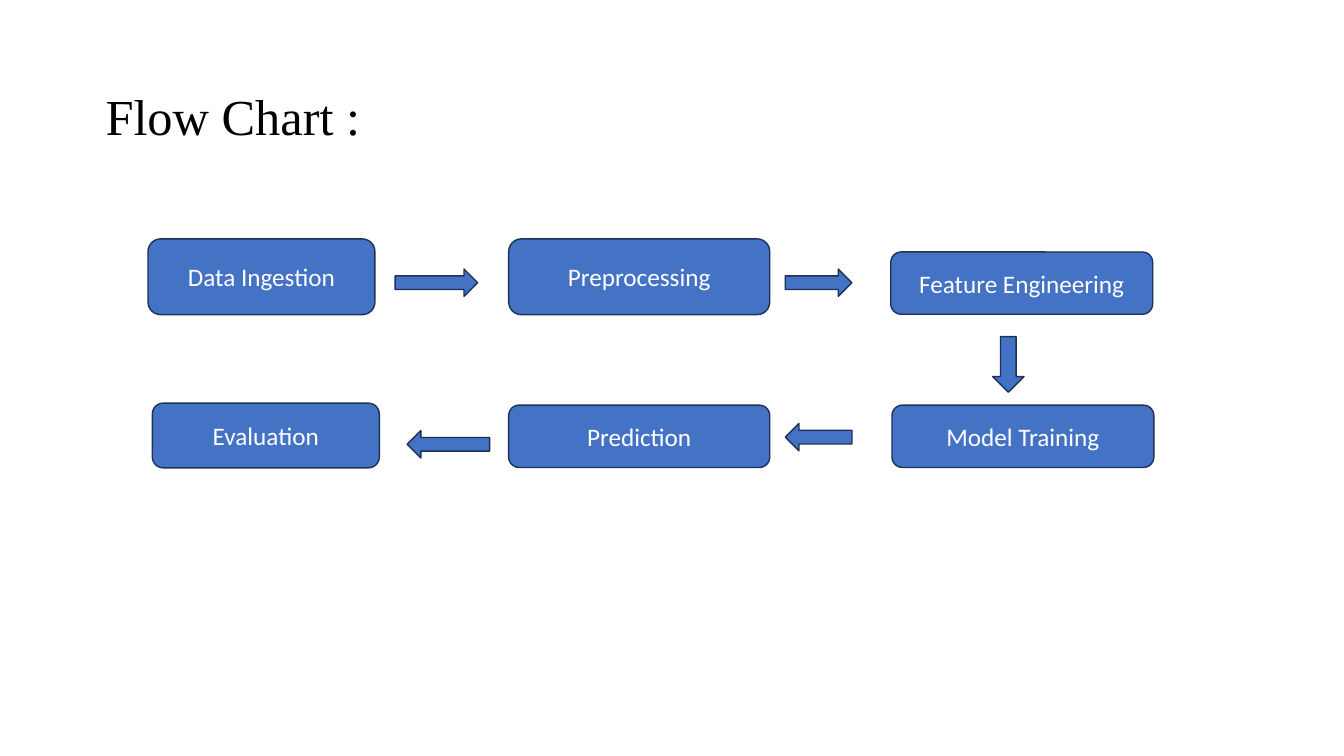
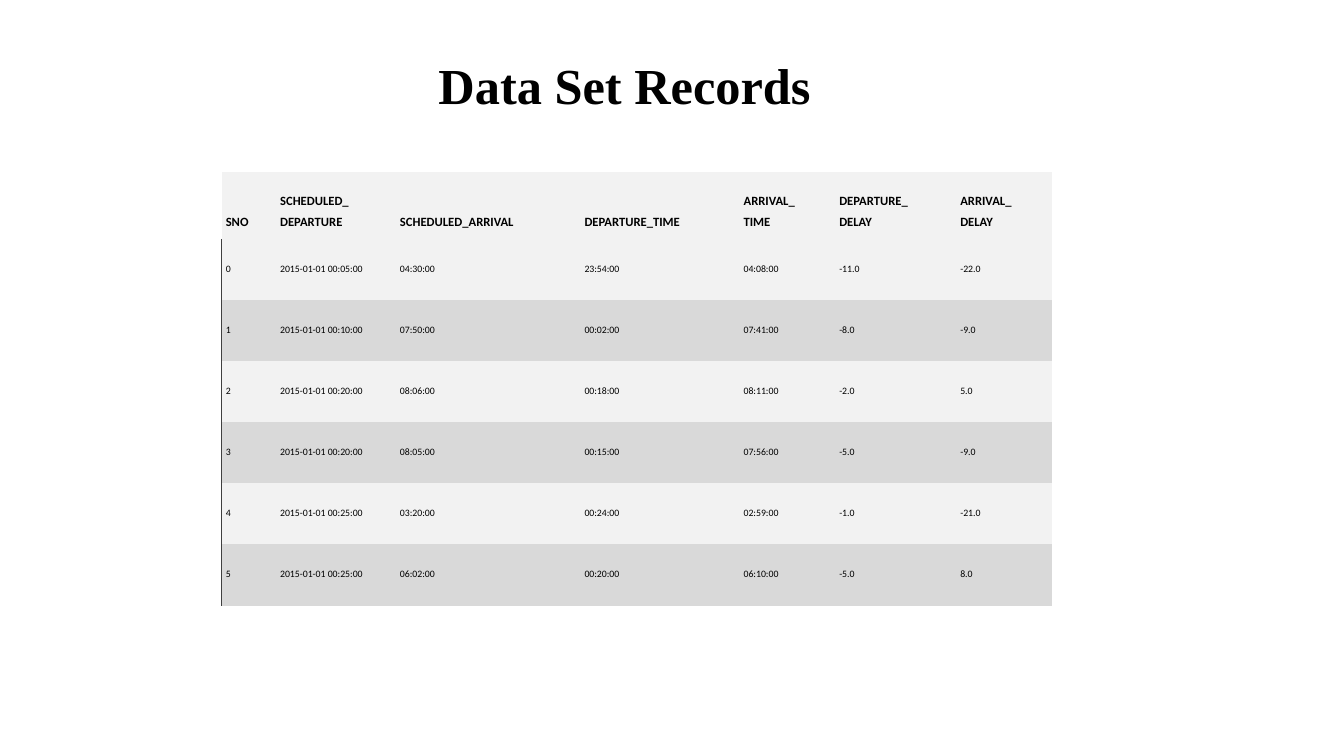
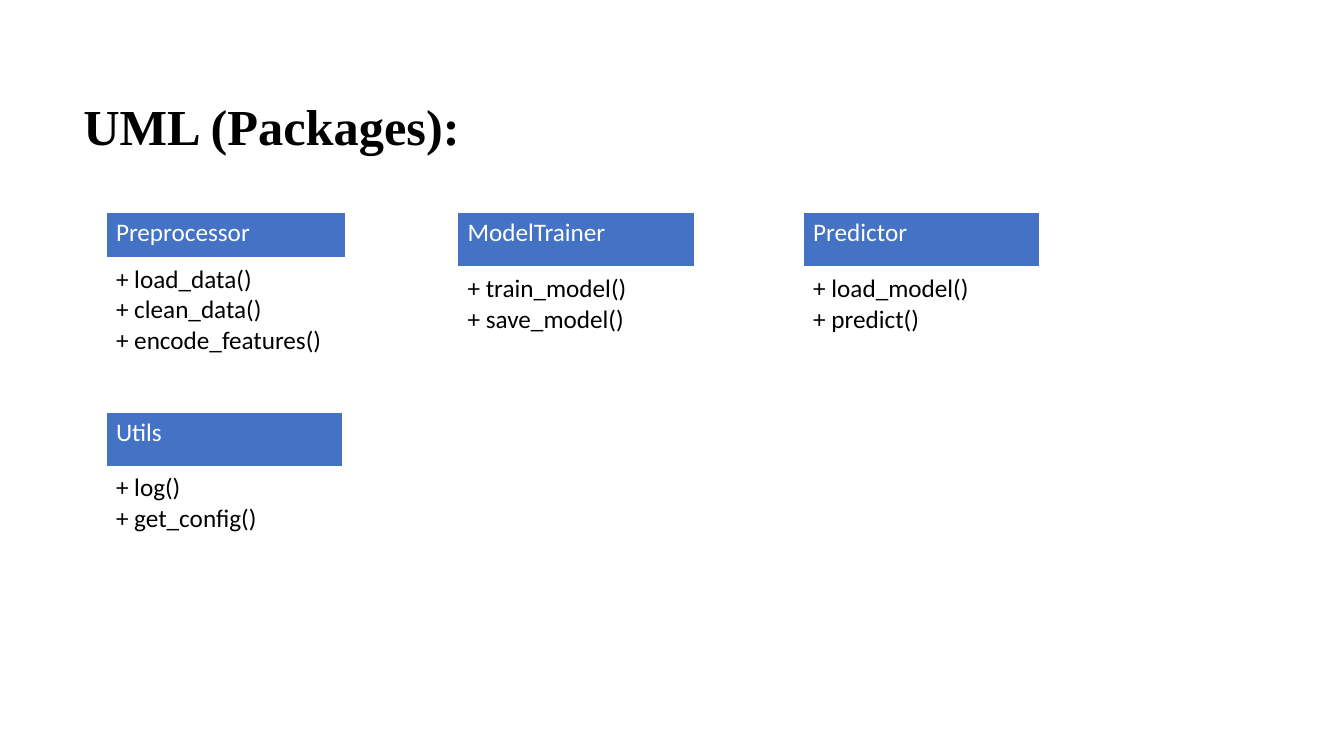
from lxml.etree import SubElement
from pptx import Presentation
from pptx.dml.color import RGBColor
from pptx.enum.shapes import MSO_SHAPE
from pptx.enum.text import MSO_ANCHOR, PP_ALIGN
from pptx.oxml.ns import qn
from pptx.util import Cm, Pt

BLUE, NAVY, BLACK, WHITE = "4472C4", "1E3256", "000000", "FFFFFF"
PALE, GREY, RULE = "F2F2F2", "D9D9D9", "404040"
NO_GRID = "{2D5ABB26-0587-4C30-8999-92F81FD0307C}"
TITLE = {"name": "Times New Roman", "size": Pt(36)}
BODY = {"name": "Calibri", "size": Pt(18)}
HEAD_CELL = {"size": Pt(9), "bold": True}
DATA_CELL = {"size": Pt(7)}


def rgb(value):
    return RGBColor.from_string(value)


def assign(target, values):
    for name, value in values.items():
        setattr(target, name, value)


class Deck:
    """Hold the shared style and the current slide."""

    def __init__(self):
        self.prs = Presentation()
        assign(self.prs, {"slide_width": Cm(33.87), "slide_height": Cm(19.05)})
        self.slide = None

    def add_slide(self):
        self.slide = self.prs.slides.add_slide(self.prs.slide_layouts[6])

    def add_text(self, tf, text, color, font, para=None):
        for i, line in enumerate(text.split("\n")):
            p = tf.add_paragraph() if i else tf.paragraphs[0]
            assign(p, para or {})
            r = p.add_run()
            r.text = line
            assign(r.font, {**BODY, **font})
            r.font.color.rgb = rgb(color)

    def title(self, text, box, bold=True, para=None):
        self.add_slide()
        tf = self.slide.shapes.add_textbox(*map(Cm, box)).text_frame
        tf.word_wrap = True
        self.add_text(tf, text, BLACK, {**TITLE, "bold": bold}, para)

    def block(self, kind, box, text="", rotation=0):
        sp = self.slide.shapes.add_shape(kind, *map(Cm, box))
        sp.shadow.inherit = False
        sp.rotation = rotation
        sp.fill.solid()
        sp.fill.fore_color.rgb = rgb(BLUE)
        sp.line.color.rgb = rgb(NAVY)
        sp.line.width = Pt(1)
        if text:
            sp.text_frame.vertical_anchor = MSO_ANCHOR.MIDDLE
            self.add_text(sp.text_frame, text, WHITE, {}, {"alignment": PP_ALIGN.CENTER})

    def table(self, left, top, widths, heights):
        frame = self.slide.shapes.add_table(
            len(heights), len(widths), Cm(left), Cm(top), Cm(sum(widths)), Cm(sum(heights)))
        table = frame.table
        assign(table, {"first_row": False, "horz_banding": False})
        table._tbl.tblPr.find(qn("a:tableStyleId")).text = NO_GRID
        for column, width in zip(table.columns, widths):
            column.width = Cm(width)
        for row, height in zip(table.rows, heights):
            row.height = Cm(height)
        return table

    def cell(self, cell, text, fill, color=BLACK, font=None, para=None, borders=None, frame=None):
        assign(cell, frame or {})
        tcPr = cell._tc.get_or_add_tcPr()
        for side, (line, width) in (borders or {}).items():
            ln = SubElement(tcPr, qn(f"a:ln{side}"), w=str(Pt(width)))
            SubElement(SubElement(ln, qn("a:solidFill")), qn("a:srgbClr"), val=line)
        cell.fill.solid()
        cell.fill.fore_color.rgb = rgb(fill)
        self.add_text(cell.text_frame, text, color, font or {}, para)

    def records(self, left, top, widths, heights, rows):
        table = self.table(left, top, widths, heights)
        insets = {"margin_left": Cm(0.1), "margin_top": Cm(0.03),
                  "margin_right": Cm(0.1), "margin_bottom": Cm(0.23)}
        for i, row in enumerate(rows):
            fill = GREY if i and i % 2 == 0 else PALE
            font, spacing, anchor = (
                (DATA_CELL, 13.5, MSO_ANCHOR.MIDDLE) if i else (HEAD_CELL, 15, MSO_ANCHOR.BOTTOM))
            for j, text in enumerate(row):
                self.cell(table.cell(i, j), text, fill, font=font,
                          para={"line_spacing": Pt(spacing)},
                          borders={"L": (RULE, 1)} if i and j == 0 else None,
                          frame={**insets, "vertical_anchor": anchor})

    def uml_class(self, left, top, width, heights, name, methods):
        table = self.table(left, top, [width], heights)
        edges = {side: (WHITE, 1) for side in "LRT"}
        self.cell(table.cell(0, 0), name, BLUE, WHITE, borders={**edges, "B": (WHITE, 3)})
        self.cell(table.cell(1, 0), "\n".join(f"+ {m}()" for m in methods), WHITE,
                  borders={"L": (WHITE, 1), "R": (WHITE, 1), "T": (WHITE, 3), "B": (WHITE, 1)})


def flow_chart(deck):
    deck.title("Flow Chart :", (2.41, 2.03, 11.23, 1.8), bold=False)
    for text, *box in [
        ("Data Ingestion", 3.73, 6.02, 5.72, 1.91),
        ("Preprocessing", 12.82, 6.02, 6.58, 1.91),
        ("Feature Engineering", 22.45, 6.35, 6.6, 1.57),
        ("Model Training", 22.48, 10.21, 6.6, 1.57),
        ("Prediction", 12.82, 10.21, 6.58, 1.57),
        ("Evaluation", 3.84, 10.16, 5.72, 1.63),
    ]:
        deck.block(MSO_SHAPE.ROUNDED_RECTANGLE, box, text)
    for rotation, *box in [
        (0, 9.96, 6.78, 2.08, 0.69),
        (0, 19.79, 6.78, 1.68, 0.69),
        (90, 24.71, 8.79, 1.4, 0.79),
        (180, 19.79, 10.67, 1.68, 0.69),
        (180, 10.26, 10.85, 2.08, 0.69),
    ]:
        deck.block(MSO_SHAPE.RIGHT_ARROW, box, rotation=rotation)


def data_set(deck):
    deck.title("Data Set Records", (10.8, 1.42, 11.2, 6.63),
               para={"line_spacing": 0.9, "space_after": Pt(6)})
    rows = [
        ("SNO", "SCHEDULED_\nDEPARTURE", "SCHEDULED_ARRIVAL", "DEPARTURE_TIME",
         "ARRIVAL_\nTIME", "DEPARTURE_\nDELAY", "ARRIVAL_\nDELAY"),
        ("0", "2015-01-01 00:05:00", "04:30:00", "23:54:00", "04:08:00", "-11.0", "-22.0"),
        ("1", "2015-01-01 00:10:00", "07:50:00", "00:02:00", "07:41:00", "-8.0", "-9.0"),
        ("2", "2015-01-01 00:20:00", "08:06:00", "00:18:00", "08:11:00", "-2.0", "5.0"),
        ("3", "2015-01-01 00:20:00", "08:05:00", "00:15:00", "07:56:00", "-5.0", "-9.0"),
        ("4", "2015-01-01 00:25:00", "03:20:00", "00:24:00", "02:59:00", "-1.0", "-21.0"),
        ("5", "2015-01-01 00:25:00", "06:02:00", "00:20:00", "06:10:00", "-5.0", "8.0"),
    ]
    widths = [1.37, 3.02, 4.65, 4.01, 2.41, 3.05, 2.41]
    deck.records(5.59, 4.34, widths, [1.68] + [1.54] * 6, rows)


def uml_packages(deck):
    deck.title("UML (Packages):", (1.85, 2.26, 16.54, 1.8))
    tall, short = (1.17, 2.54), (1.4, 2.03)
    for left, top, width, heights, name, methods in [
        (2.67, 5.36, 6.05, tall, "Preprocessor", ["load_data", "clean_data", "encode_features"]),
        (11.53, 5.36, 5.97, short, "ModelTrainer", ["train_model", "save_model"]),
        (20.24, 5.36, 5.97, short, "Predictor", ["load_model", "predict"]),
        (2.67, 10.39, 5.97, short, "Utils", ["log", "get_config"]),
    ]:
        deck.uml_class(left, top, width, heights, name, methods)


def main():
    deck = Deck()
    for build in (flow_chart, data_set, uml_packages):
        build(deck)
    deck.prs.save("out.pptx")


if __name__ == "__main__":
    main()
